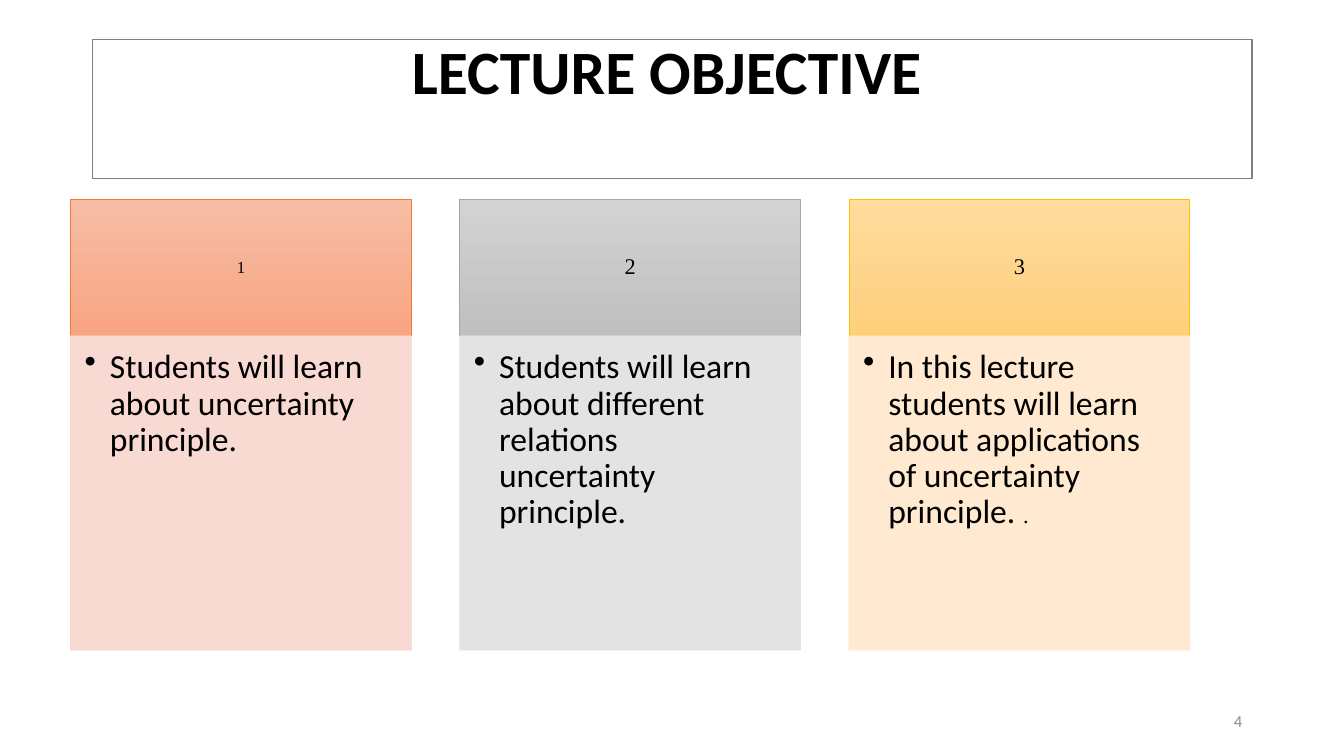
"""Build the lecture objective slide: a framed title above three numbered columns."""
import pptx
import pptx.dml.color
import pptx.enum.shapes
import pptx.enum.text
import pptx.oxml
import pptx.oxml.ns
import pptx.util
from dataclasses import dataclass

TITLE = "LECTURE OBJECTIVE"
NUMBER = "4"
GOALS = [
    dict(head="1", size=12, pad=(0.09, 0.05), body="Students will learn about uncertainty principle.",
         tail="", top="F7BDA5", low="F8A582", edge="ED7D31", pale="F8D7CE"),
    dict(head="2", size=16, pad=(0.12, 0.07),
         body="Students will learn about different relations uncertainty principle.",
         tail="", top="D2D2D2", low="C0C0C0", edge="A5A5A5", pale="E1E1E1"),
    dict(head="3", size=16, pad=(0.12, 0.07),
         body="In this lecture students will learn about applications of uncertainty principle. ",
         tail=".", top="FFDB9E", low="FFD07C", edge="FFC000", pale="FFE8CC"),
]


@dataclass(frozen=True)
class Theme:
    """Fonts, type sizes and colours."""
    sans: str = "Calibri"
    serif: str = "Times New Roman"
    title: int = 44
    body: int = 24
    tail: int = 16
    note: int = 12
    ink: str = "000000"
    grey: str = "8C8C8C"
    frame: str = "808080"
    alpha: int = 90


THEME = Theme()
WIDE, HIGH = 13.33, 7.5
LEFT, STEP, COL = 0.7, 3.86, 3.38
TOP, HEAD, BODY = 1.98, 1.35, 3.12
ALIGN = pptx.enum.text.PP_ALIGN
ANCHOR = pptx.enum.text.MSO_ANCHOR
RECT = pptx.enum.shapes.MSO_SHAPE.RECTANGLE


def box(*sides):
    return [pptx.util.Inches(side) for side in sides]


def color(code):
    return pptx.dml.color.RGBColor.from_string(code)


def style(font, face, size, code, bold=False):
    font.name, font.size, font.bold = face, pptx.util.Pt(size), bold
    font.color.rgb = color(code)


def pad(frame, left, top, right, low):
    frame.word_wrap = True
    frame.margin_left, frame.margin_top, frame.margin_right, frame.margin_bottom = box(left, top, right, low)


def rect(slide, place, edge, width=0.5):
    shape = slide.shapes.add_shape(RECT, *box(*place))
    shape.shadow.inherit = False
    shape.line.color.rgb = color(edge)
    shape.line.width = pptx.util.Pt(width)
    return shape


def fade(shape):
    for node in shape.element.spPr.iter(pptx.oxml.ns.qn("a:srgbClr")):
        node.append(pptx.oxml.parse_xml(
            f'<a:alpha {pptx.oxml.ns.nsdecls("a")} val="{THEME.alpha * 1000}"/>'))


def bullet(para):
    props = para._p.get_or_add_pPr()
    props.set("marL", str(pptx.util.Inches(0.25)))
    props.set("indent", str(pptx.util.Inches(-0.25)))
    props.append(pptx.oxml.parse_xml(f'<a:buChar {pptx.oxml.ns.nsdecls("a")} char="•"/>'))


def head(slide, left, goal):
    shape = rect(slide, (left, TOP, COL, HEAD), goal["edge"])
    shape.fill.gradient()
    shape.fill.gradient_angle = 270
    for stop, code in zip(shape.fill.gradient_stops, (goal["top"], goal["low"])):
        stop.color.rgb = color(code)
    frame = shape.text_frame
    pad(frame, *goal["pad"] * 2)
    frame.vertical_anchor = ANCHOR.MIDDLE
    para = frame.paragraphs[0]
    para.text, para.alignment, para.line_spacing = goal["head"], ALIGN.CENTER, 0.9
    style(para.font, THEME.serif, goal["size"], THEME.ink)


def body(slide, left, goal):
    shape = rect(slide, (left, TOP + HEAD, COL, BODY), goal["pale"])
    shape.fill.solid()
    shape.fill.fore_color.rgb = color(goal["pale"])
    fade(shape)
    frame = shape.text_frame
    pad(frame, 0.14, 0.14, 0.19, 0.21)
    frame.vertical_anchor = ANCHOR.TOP
    para = frame.paragraphs[0]
    para.alignment, para.line_spacing = ALIGN.LEFT, 0.9
    bullet(para)
    para.text = goal["body"]
    style(para.font, THEME.sans, THEME.body, THEME.ink)
    if goal["tail"]:
        run = para.add_run()
        run.text = goal["tail"]
        style(run.font, THEME.serif, THEME.tail, THEME.ink)


def main():
    deck = pptx.Presentation()
    deck.slide_width, deck.slide_height = box(WIDE, HIGH)
    slide = deck.slides.add_slide(deck.slide_layouts[5])

    title = slide.shapes.title
    title.left, title.top, title.width, title.height = box(1.43, 0.28, 10.37, 0.84)
    title.text_frame.vertical_anchor = ANCHOR.TOP
    para = title.text_frame.paragraphs[0]
    para.text, para.alignment = TITLE, ALIGN.CENTER
    style(para.font, THEME.sans, THEME.title, THEME.ink, True)

    for col, goal in enumerate(GOALS):
        left = LEFT + col * STEP
        head(slide, left, goal)
        body(slide, left, goal)

    rect(slide, (0.92, 0.39, 11.5, 1.38), THEME.frame, 1).fill.background()

    note = slide.shapes.add_textbox(*box(9.42, 6.95, 3, 0.4)).text_frame
    note.word_wrap, note.vertical_anchor = True, ANCHOR.MIDDLE
    para = note.paragraphs[0]
    para.text, para.alignment = NUMBER, ALIGN.RIGHT
    style(para.font, THEME.sans, THEME.note, THEME.grey)

    deck.save("out.pptx")


if __name__ == "__main__":
    main()
